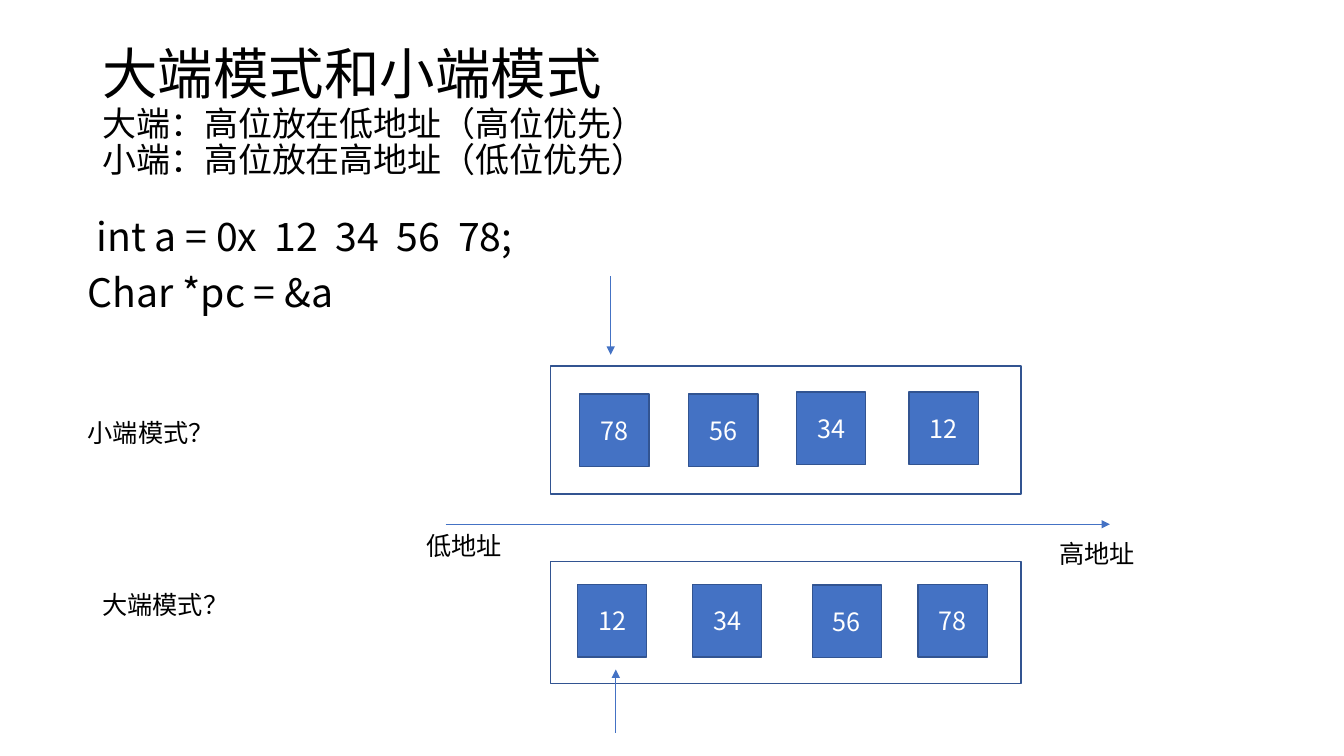
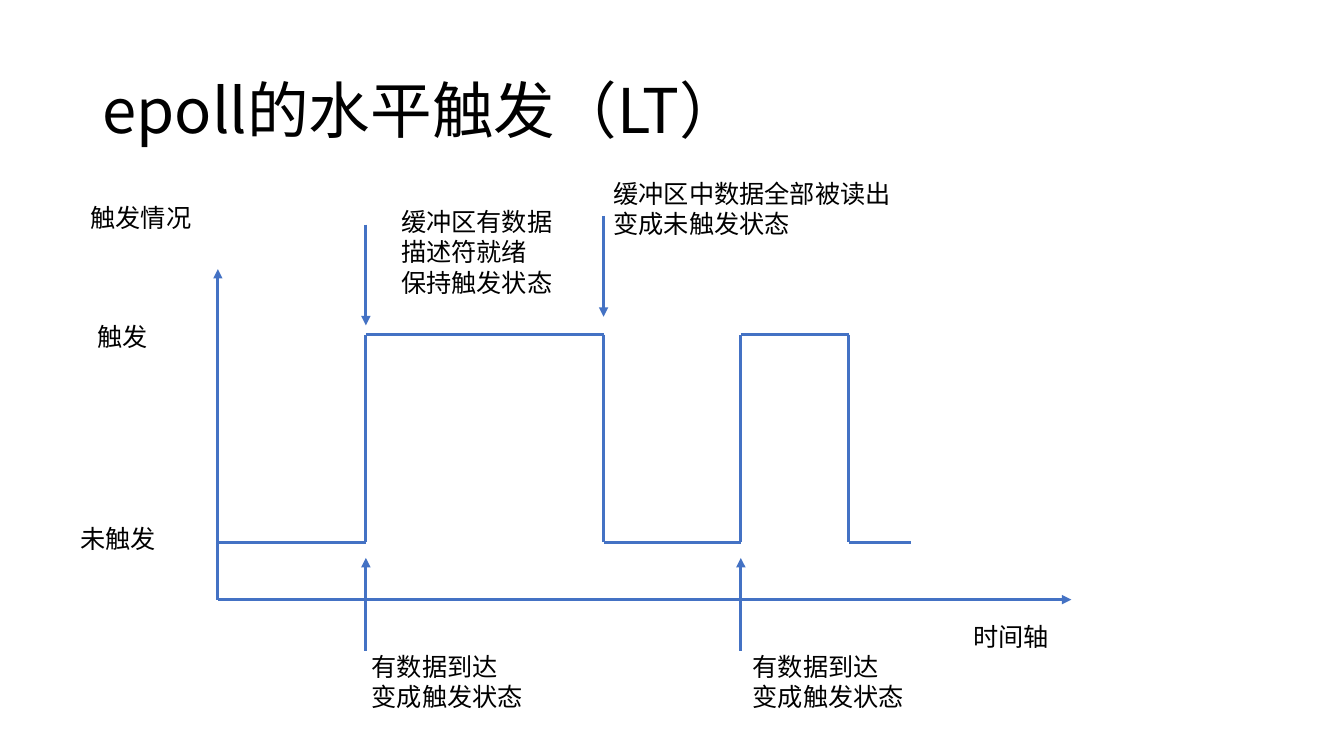
"""Build two slides: byte order in memory and the epoll level trigger."""
from dataclasses import dataclass

from lxml import etree
from pptx import Presentation
from pptx.dml.color import RGBColor
from pptx.enum.shapes import MSO_CONNECTOR, MSO_SHAPE
from pptx.enum.text import MSO_ANCHOR, MSO_AUTO_SIZE, PP_ALIGN
from pptx.oxml.ns import qn
from pptx.util import Cm, Pt

STRAIGHT = MSO_CONNECTOR.STRAIGHT
RECTANGLE = MSO_SHAPE.RECTANGLE
MIDDLE = MSO_ANCHOR.MIDDLE
LEFT, CENTER = PP_ALIGN.LEFT, PP_ALIGN.CENTER
NO_FIT = MSO_AUTO_SIZE.NONE


@dataclass(frozen=True)
class Theme:
    font: str = "Noto Sans CJK SC"
    ink: RGBColor = RGBColor(0x00, 0x00, 0x00)
    paper: RGBColor = RGBColor(0xFF, 0xFF, 0xFF)
    accent: RGBColor = RGBColor(0x44, 0x72, 0xC4)
    edge: RGBColor = RGBColor(0x32, 0x54, 0x91)
    title: float = 44
    heading: float = 39.6
    subtitle: float = 24.3
    body: float = 28
    label: float = 18
    thin: float = 0.5
    border: float = 1
    thick: float = 2.25


theme = Theme()


def write(frame, text, size, color=theme.ink, align=LEFT):
    frame.word_wrap = True
    frame.auto_size = NO_FIT
    frame.text = text
    for para in frame.paragraphs:
        para.alignment = align
        para.font.size = Pt(size)
        para.font.color.rgb = color
        para.font.name = theme.font
        defaults = para._p.pPr.find(qn("a:defRPr"))
        etree.SubElement(defaults, qn("a:ea"), typeface=theme.font)


def draw_line(page, start, end, width, arrow=False):
    line = page.shapes.add_connector(
        STRAIGHT, *(Cm(value) for value in (*start, *end)))
    line.line.color.rgb = theme.accent
    line.line.width = Pt(width)
    properties = line._element.spPr
    if arrow:
        etree.SubElement(properties.find(qn("a:ln")), qn("a:tailEnd"), type="triangle")
    etree.SubElement(properties, qn("a:effectLst"))


deck = Presentation()
deck.slide_width, deck.slide_height = Cm(33.87), Cm(19.05)

titles = [
    (1, "大端模式和小端模式\v大端：高位放在低地址（高位优先）\v小端：高位放在高地址（低位优先）",
     theme.subtitle),
    (5, "epoll的水平触发（LT）", theme.title),
]
for layout, text, size in titles:
    page = deck.slides.add_slide(deck.slide_layouts[layout])
    title = page.shapes.title
    title.left, title.top, title.width, title.height = Cm(2.33), Cm(1.02), Cm(29.21), Cm(3.68)
    write(title.text_frame, text, size)
    title.text_frame.vertical_anchor = MIDDLE
    title.text_frame.paragraphs[0].line_spacing = 0.9
endian_page, trigger_page = deck.slides

heading = endian_page.shapes.title.text_frame.paragraphs[0].runs[0]
heading.font.size = Pt(theme.heading)

body = endian_page.placeholders[1]
body.left, body.top, body.width, body.height = Cm(1.96), Cm(5.36), Cm(29.21), Cm(12.09)
write(body.text_frame, " int a = 0x  12  34  56  78;\nChar *pc = &a", theme.body)
for para in body.text_frame.paragraphs:
    para.line_spacing = 0.9
    para.space_before = Pt(10)
    settings = para._p.pPr
    settings.set("marL", "0")
    settings.set("indent", "0")
    settings.find(qn("a:defRPr")).addprevious(etree.Element(qn("a:buNone")))

memory_bytes = [
    ("78", 14.61, 9.93), ("56", 17.35, 9.93), ("34", 20.07, 9.88), ("12", 22.91, 9.88),
    ("12", 14.55, 14.73), ("34", 17.45, 14.73), ("56", 20.47, 14.74), ("78", 23.14, 14.73),
]
memory_frames = [("", 13.87, 9.22, 11.86, 3.23), ("", 13.87, 14.15, 11.86, 3.07)]
cells = [(*item, 1.75, 1.83) for item in memory_bytes]
for text, left, top, width, height in cells + memory_frames:
    box = endian_page.shapes.add_shape(RECTANGLE, Cm(left), Cm(top), Cm(width), Cm(height))
    box.shadow.inherit = False
    box.line.color.rgb = theme.edge
    box.line.width = Pt(theme.border)
    if text:
        box.fill.solid()
        box.fill.fore_color.rgb = theme.accent
        write(box.text_frame, text, theme.label, theme.paper, CENTER)
        box.text_frame.vertical_anchor = MIDDLE
    else:
        box.fill.background()

labels = [
    (endian_page, "大端模式？", 2.33, 14.73, 3.8, 1.02),
    (endian_page, "小端模式？", 1.96, 10.39, 3.8, 1.02),
    (endian_page, "低地址", 10.49, 13.23, 2.6, 1.02),
    (endian_page, "高地址", 26.45, 13.44, 2.6, 1.02),
    (trigger_page, "时间轴", 24.28, 15.52, 2.6, 1.02),
    (trigger_page, "触发情况", 2.03, 4.98, 4.17, 1.02),
    (trigger_page, "未触发", 1.78, 13.06, 3.3, 1.02),
    (trigger_page, "触发", 2.21, 7.98, 3.3, 1.02),
    (trigger_page, "有数据到达\n变成触发状态", 9.12, 16.28, 4.9, 1.8),
    (trigger_page, "有数据到达\n变成触发状态", 18.72, 16.28, 4.9, 1.8),
    (trigger_page, "缓冲区有数据\n描述符就绪\n保持触发状态", 9.86, 5.08, 4.95, 3.33),
    (trigger_page, "缓冲区中数据全部被读出\n变成未触发状态", 15.21, 4.37, 7.98, 2.57),
]
for page, text, left, top, width, height in labels:
    label = page.shapes.add_textbox(Cm(left), Cm(top), Cm(width), Cm(height))
    write(label.text_frame, text, theme.label)

address_axis = ((11.23, 13.21), (27.97, 13.21))
big_pointer = ((15.52, 18.47), (15.52, 16.87))
little_pointer = ((15.39, 6.96), (15.39, 8.94))
for start, end in (address_axis, big_pointer, little_pointer):
    draw_line(endian_page, start, end, theme.thin, arrow=True)

origin = (5.49, 15.11)
first_rise, first_fall, second_rise, second_fall = 9.22, 15.21, 18.67, 21.39
low, high = 13.66, 8.43
trigger_arrows = [
    (origin, (27, 15.11)),
    (origin, (5.49, 6.78)),
    ((first_rise, 16.4), (first_rise, 14.06)),
    ((second_rise, 16.4), (second_rise, 14.06)),
    ((first_rise, 5.66), (first_rise, 8.2)),
    ((first_fall, 5.44), (first_fall, 7.98)),
]
for start, end in trigger_arrows:
    draw_line(trigger_page, start, end, theme.thick, arrow=True)

signal = [(5.49, low)]
for rise, fall in ((first_rise, first_fall), (second_rise, second_fall)):
    signal += [(rise, low), (rise, high), (fall, high), (fall, low)]
signal.append((22.96, low))
for start, end in zip(signal, signal[1:]):
    draw_line(trigger_page, start, end, theme.thick)

deck.save("out.pptx")
